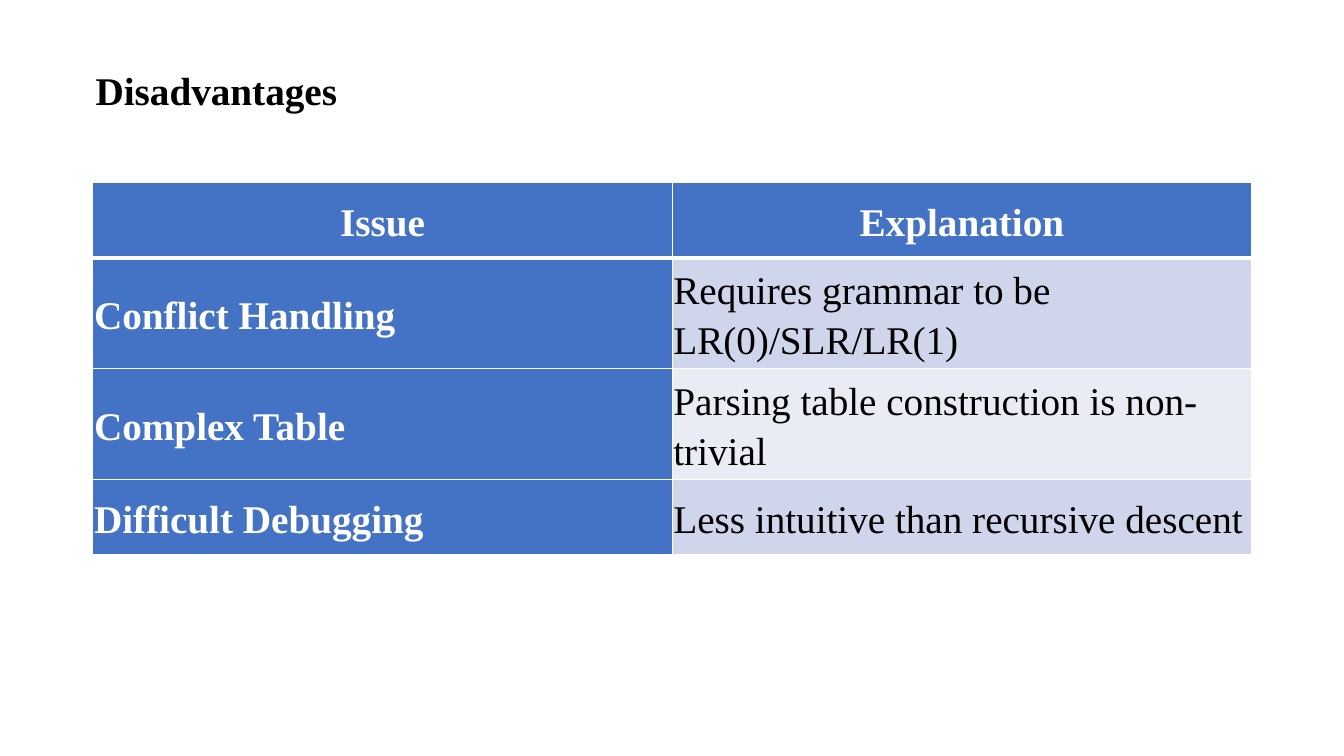
from lxml.etree import SubElement
from pptx import Presentation
from pptx.dml.color import RGBColor
from pptx.enum.text import MSO_ANCHOR as Anchor, MSO_AUTO_SIZE as AutoSize, PP_ALIGN as Align
from pptx.oxml.ns import qn
from pptx.util import Cm, Pt

COLORS = {
    "text": "000000",
    "light": "FFFFFF",
    "accent": "4472C4",
    "band_dark": "CFD5EA",
    "band_light": "E9EBF5",
}
FONT = {"name": "Times New Roman", "size": Pt(28)}
SPACING = {"line_spacing": 1.15, "space_after": Pt(8)}
CELL = {
    "vertical_anchor": Anchor.MIDDLE,
    "margin_left": Cm(0.03),
    "margin_right": Cm(0.03),
    "margin_top": Cm(0.03),
    "margin_bottom": Cm(0.03),
}
ISSUES = [
    ("Issue", "Explanation"),
    ("Conflict Handling", "Requires grammar to be LR(0)/SLR/LR(1)"),
    ("Complex Table", "Parsing table construction is non-trivial"),
    ("Difficult Debugging", "Less intuitive than recursive descent"),
]


def set_attributes(target, values):
    """Set every attribute of target named in values."""
    for name, value in values.items():
        setattr(target, name, value)


def write_text(text_frame, text, color, bold, alignment=Align.LEFT):
    """Write one formatted paragraph into a text frame."""
    paragraph = text_frame.paragraphs[0]
    set_attributes(paragraph, {**SPACING, "alignment": alignment})
    run = paragraph.add_run()
    run.text = text
    set_attributes(run.font, {**FONT, "bold": bold})
    run.font.color.rgb = RGBColor.from_string(COLORS[color])


def add_title(slide, text):
    """Add the bold slide title."""
    shape = slide.shapes.add_textbox(Cm(2.16), Cm(1.37), Cm(16.94), Cm(1.55))
    set_attributes(shape.text_frame, {"word_wrap": True, "auto_size": AutoSize.SHAPE_TO_FIT_TEXT})
    write_text(shape.text_frame, text, "text", True)


def add_borders(cell, widths):
    """Draw light cell borders with a point width for each side."""
    properties = cell._tc.get_or_add_tcPr()
    for side, width in widths.items():
        line = SubElement(properties, qn(f"a:ln{side}"), w=str(Pt(width)))
        fill = SubElement(line, qn("a:solidFill"))
        SubElement(fill, qn("a:srgbClr"), val=COLORS["light"])


def format_cell(cell, text, row, column):
    """Style a cell by its place: header row, issue column or banded body."""
    set_attributes(cell, CELL)
    add_borders(cell, {"L": 1, "R": 1, "T": 3 if row == 1 else 1, "B": 3 if row == 0 else 1})
    heading = row == 0 or column == 0
    band = "band_dark" if row % 2 else "band_light"
    cell.fill.solid()
    cell.fill.fore_color.rgb = RGBColor.from_string(COLORS["accent" if heading else band])
    write_text(cell.text_frame, text, "light" if heading else "text", heading,
               Align.CENTER if row == 0 else Align.LEFT)


def add_issue_table(slide, rows):
    """Add the table of issues and explanations."""
    row_height = Cm(1.9)
    frame = slide.shapes.add_table(len(rows), len(rows[0]), Cm(2.34), Cm(4.6),
                                   Cm(29.2), row_height * len(rows))
    for row, texts in enumerate(rows):
        for column, text in enumerate(texts):
            format_cell(frame.table.cell(row, column), text, row, column)


def main():
    """Build and save the slide."""
    presentation = Presentation()
    set_attributes(presentation, {"slide_width": Cm(33.87), "slide_height": Cm(19.05)})
    slide = presentation.slides.add_slide(presentation.slide_layouts[6])
    add_title(slide, "Disadvantages")
    add_issue_table(slide, ISSUES)
    presentation.save("out.pptx")


main()
